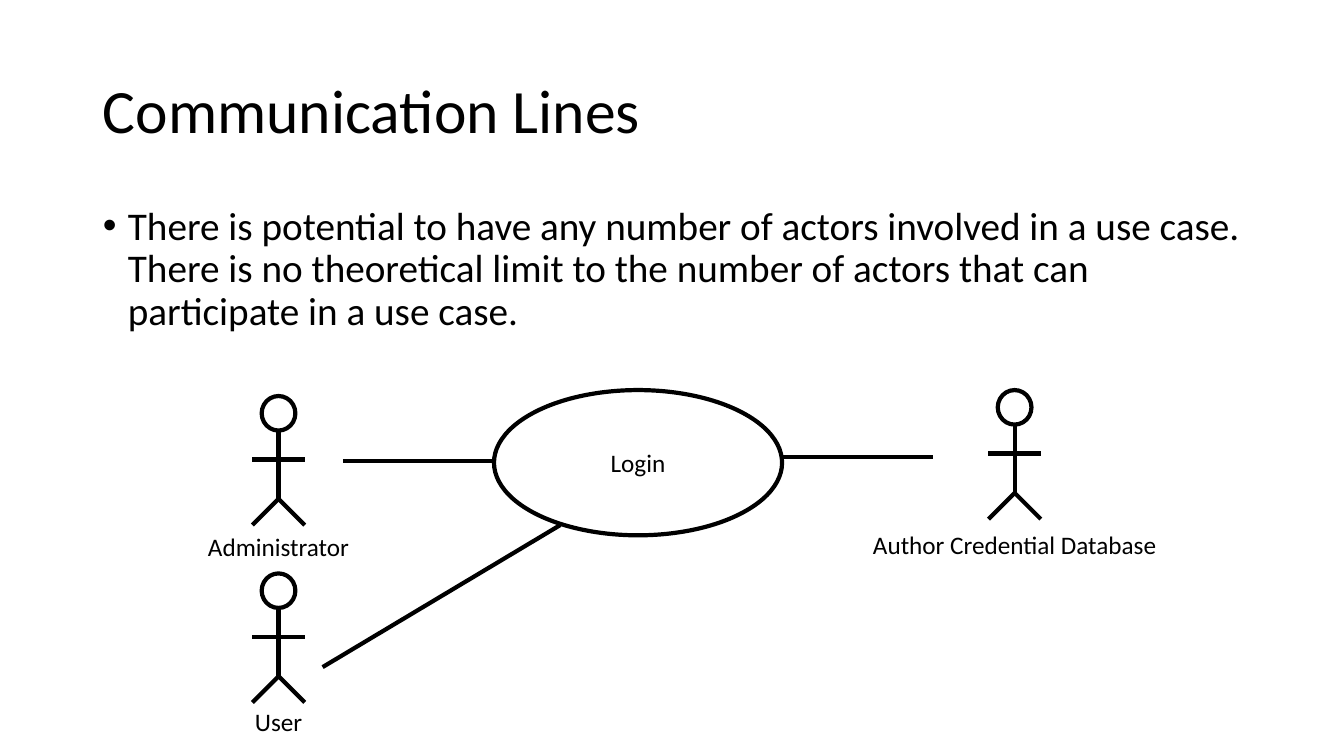
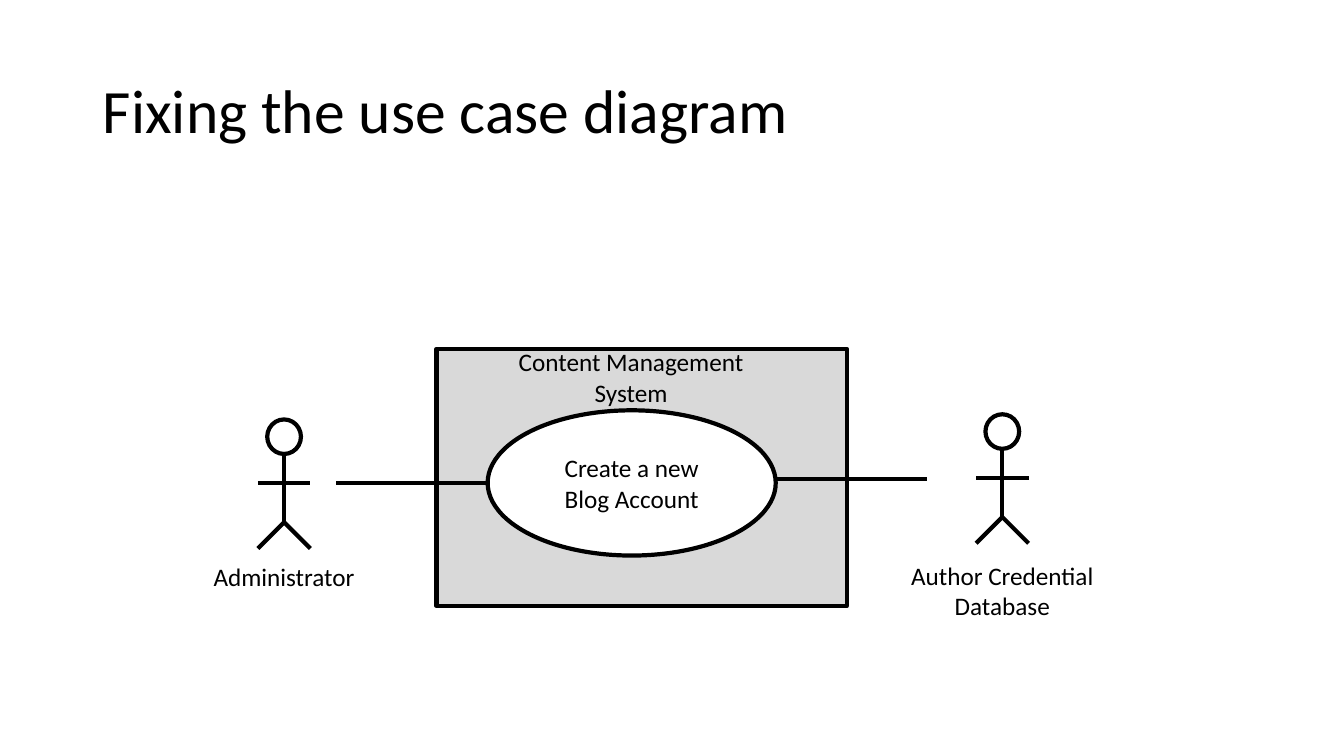
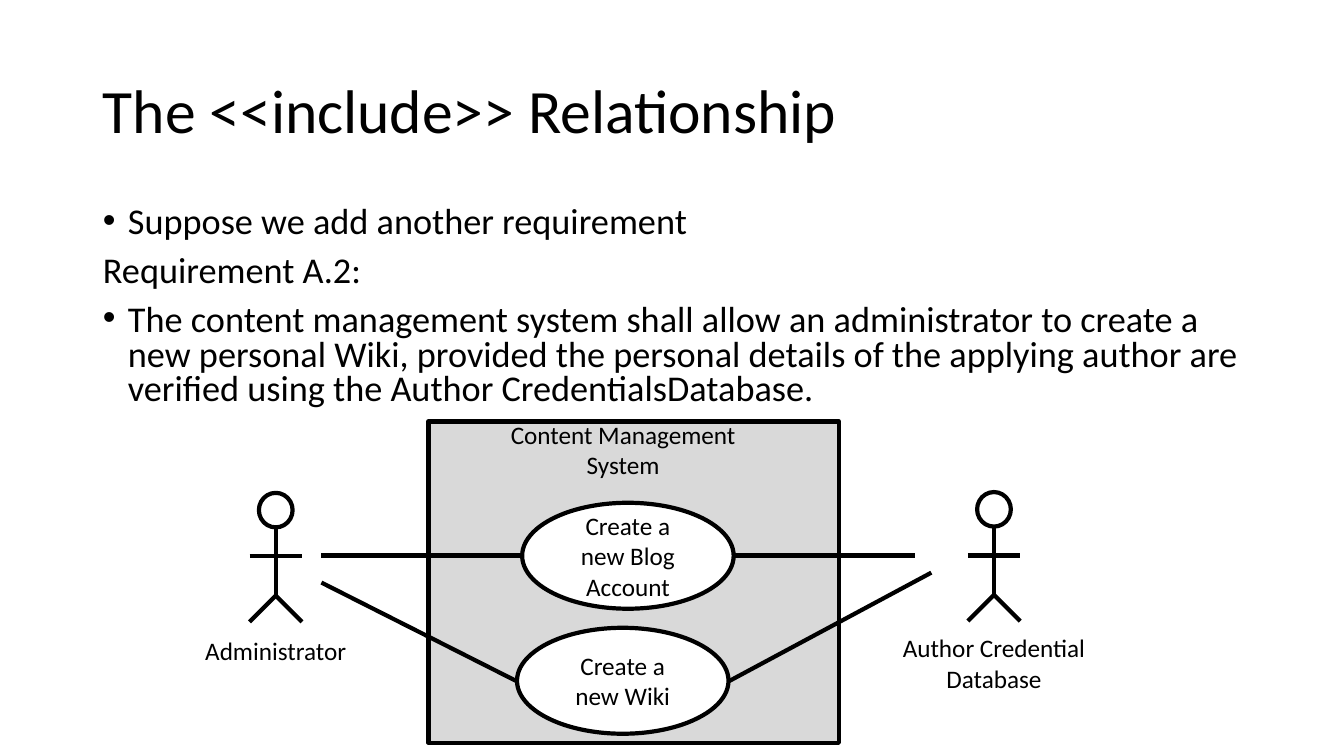
"""Build three slides on use case diagrams."""
from lxml import etree
from pptx import Presentation
from pptx.dml.color import RGBColor
from pptx.enum.shapes import MSO_CONNECTOR, MSO_SHAPE
from pptx.enum.text import MSO_ANCHOR, MSO_AUTO_SIZE, PP_ALIGN
from pptx.oxml.ns import qn
from pptx.util import Cm, Pt

STRAIGHT = MSO_CONNECTOR.STRAIGHT
OVAL, RECTANGLE = MSO_SHAPE.OVAL, MSO_SHAPE.RECTANGLE
LEFT, CENTER = PP_ALIGN.LEFT, PP_ALIGN.CENTER
TOP, MIDDLE = MSO_ANCHOR.TOP, MSO_ANCHOR.MIDDLE
NO_FIT = MSO_AUTO_SIZE.NONE

COLORS = {"ink": "000000", "paper": "FFFFFF", "system": "D9D9D9"}
FONT = "Calibri"
STROKE = Pt(3)
TITLE_AREA = (2.34, 1.02, 29.21, 3.68)
BODY_LEFT, BODY_TOP, BODY_WIDTH = 2.34, 5.08, 29.21
BULLET_INDENT = Cm(0.63)
HEAD_WIDTH, HEAD_HEIGHT = 0.85, 0.87
LIMBS = [
    (0, 0.88, 0, 2.59),
    (-0.66, 1.6, 0.66, 1.6),
    (0, 2.59, -0.66, 3.25),
    (0, 2.59, 0.66, 3.25),
]
SYSTEM_LABEL = "Content Management\nSystem"
DATABASE_LABEL = "Author Credential\nDatabase"

PAGES = [
    {
        "title": "Communication Lines",
        "body": {"height": 3.73, "size": 28, "spacing": 0.9},
        "items": [
            (True, "There is potential to have any number of actors involved in a use case. "
                   "There is no theoretical limit to the number of actors that can "
                   "participate in a use case."),
        ],
        "systems": [],
        "cases": [("Login", 12.45, 9.83, 7.26, 3.66)],
        "lines": [
            (8.64, 11.61, 12.45, 11.61),
            (19.71, 11.51, 23.52, 11.51),
            (8.13, 16.81, 14.12, 13.23),
        ],
        "actors": [
            ("Administrator", 7.02, 9.98, 13.26, 4.09),
            ("User", 7.02, 14.45, 17.68, 1.73),
            ("Author Credential Database", 25.57, 9.83, 13.21, 7.75),
        ],
    },
    {
        "title": "Fixing the use case diagram",
        "items": [],
        "systems": [(11, 8.79, 10.34, 6.48)],
        "cases": [("Create a new Blog Account", 12.29, 10.34, 7.26, 3.66)],
        "lines": [(8.48, 12.17, 12.29, 12.17), (19.56, 12.07, 23.37, 12.07)],
        "actors": [
            ("Administrator", 7.16, 10.57, 14.02, 4.09),
            (DATABASE_LABEL, 25.26, 10.44, 14, 5.16),
        ],
    },
    {
        "title": "The <<include>> Relationship",
        "body": {"height": 6.27, "size": 25.9, "spacing": 0.8},
        "items": [
            (True, "Suppose we add another requirement"),
            (False, "Requirement A.2:"),
            (True, "The content management system shall allow an administrator to create a "
                   "new personal Wiki, provided the personal details of the applying author "
                   "are verified using the Author CredentialsDatabase."),
        ],
        "systems": [(10.8, 10.62, 10.34, 8.1)],
        "cases": [
            ("Create a new Blog Account", 13.16, 12.67, 5.33, 2.67),
            ("Create a new Wiki", 13.03, 15.82, 5.33, 2.67),
        ],
        "lines": [
            (8.1, 14, 13.16, 14),
            (18.49, 14, 23.06, 14),
            (18.36, 17.17, 23.47, 14.43),
            (8.1, 14.68, 13.03, 17.17),
        ],
        "actors": [
            ("Administrator", 6.95, 12.42, 15.88, 4.09),
            (DATABASE_LABEL, 25.05, 12.4, 15.82, 5.16),
        ],
    },
]


def write(box, text, size=18, wrap=True, anchor=MIDDLE, align=CENTER, spacing=1.0, bullets=()):
    """Fill a box with formatted paragraphs, one for each line of text."""
    frame = box.text_frame
    frame.text = text
    for name, value in {"word_wrap": wrap, "auto_size": NO_FIT, "vertical_anchor": anchor}.items():
        setattr(frame, name, value)
    for index, para in enumerate(frame.paragraphs):
        para.alignment = align
        para.line_spacing = spacing
        para.space_before = Pt(10 if bullets and index else 0)
        if bullets:
            properties = para._p.get_or_add_pPr()
            indent = BULLET_INDENT if bullets[index] else 0
            properties.set("marL", str(indent))
            properties.set("indent", str(-indent))
            if bullets[index]:
                etree.SubElement(properties, qn("a:buFont")).set("typeface", "Arial")
                etree.SubElement(properties, qn("a:buChar")).set("char", "•")
            else:
                etree.SubElement(properties, qn("a:buNone"))
        for name, value in {"name": FONT, "size": Pt(size), "bold": False}.items():
            setattr(para.font, name, value)
        para.font.color.rgb = RGBColor.from_string(COLORS["ink"])


def draw(shapes, kind, area, fill=None):
    """Add an outlined shape, or a straight line between two points."""
    lengths = [Cm(length) for length in area]
    if kind == STRAIGHT and fill is None:
        item = shapes.add_connector(kind, *lengths)
        etree.SubElement(item._element.spPr, qn("a:effectLst"))
    else:
        item = shapes.add_shape(kind, *lengths)
        item.shadow.inherit = False
        item.fill.solid()
        item.fill.fore_color.rgb = RGBColor.from_string(COLORS[fill])
    item.line.color.rgb = RGBColor.from_string(COLORS["ink"])
    item.line.width = STROKE
    return item


deck = Presentation()
deck.slide_width, deck.slide_height = Cm(33.87), Cm(19.05)
content_layout, title_layout = deck.slide_layouts[1], deck.slide_layouts[5]

for content in PAGES:
    page = deck.slides.add_slide(content_layout if content["items"] else title_layout)
    shapes = page.shapes
    title = shapes.title
    title.left, title.top, title.width, title.height = [Cm(length) for length in TITLE_AREA]
    write(title, content["title"], size=44, align=LEFT, spacing=0.9)

    if content["items"]:
        layout = content["body"]
        body = page.placeholders[1]
        body.left, body.top = Cm(BODY_LEFT), Cm(BODY_TOP)
        body.width, body.height = Cm(BODY_WIDTH), Cm(layout["height"])
        bullets, texts = zip(*content["items"])
        write(body, "\n".join(texts), size=layout["size"], anchor=TOP, align=LEFT,
              spacing=layout["spacing"], bullets=bullets)

    labels = []
    for left, top, width, height in content["systems"]:
        draw(shapes, RECTANGLE, (left, top, width, height), "system")
        labels.append((SYSTEM_LABEL, left + 1.78, top - 0.18, 6.25))

    for text, *area in content["cases"]:
        write(draw(shapes, OVAL, area, "paper"), text)

    for ends in content["lines"]:
        draw(shapes, STRAIGHT, ends)

    for text, middle, top, label_top, label_width in content["actors"]:
        figure = shapes.add_group_shape().shapes
        head = (middle - HEAD_WIDTH / 2, top, HEAD_WIDTH, HEAD_HEIGHT)
        draw(figure, OVAL, head, "paper")
        for x1, y1, x2, y2 in LIMBS:
            draw(figure, STRAIGHT, (middle + x1, top + y1, middle + x2, top + y2))
        labels.append((text, middle - label_width / 2, label_top, label_width))

    for text, left, top, width in labels:
        height = 1.8 if "\n" in text else 1.02
        label = shapes.add_textbox(Cm(left), Cm(top), Cm(width), Cm(height))
        write(label, text, wrap=False, anchor=TOP)

deck.save("out.pptx")
